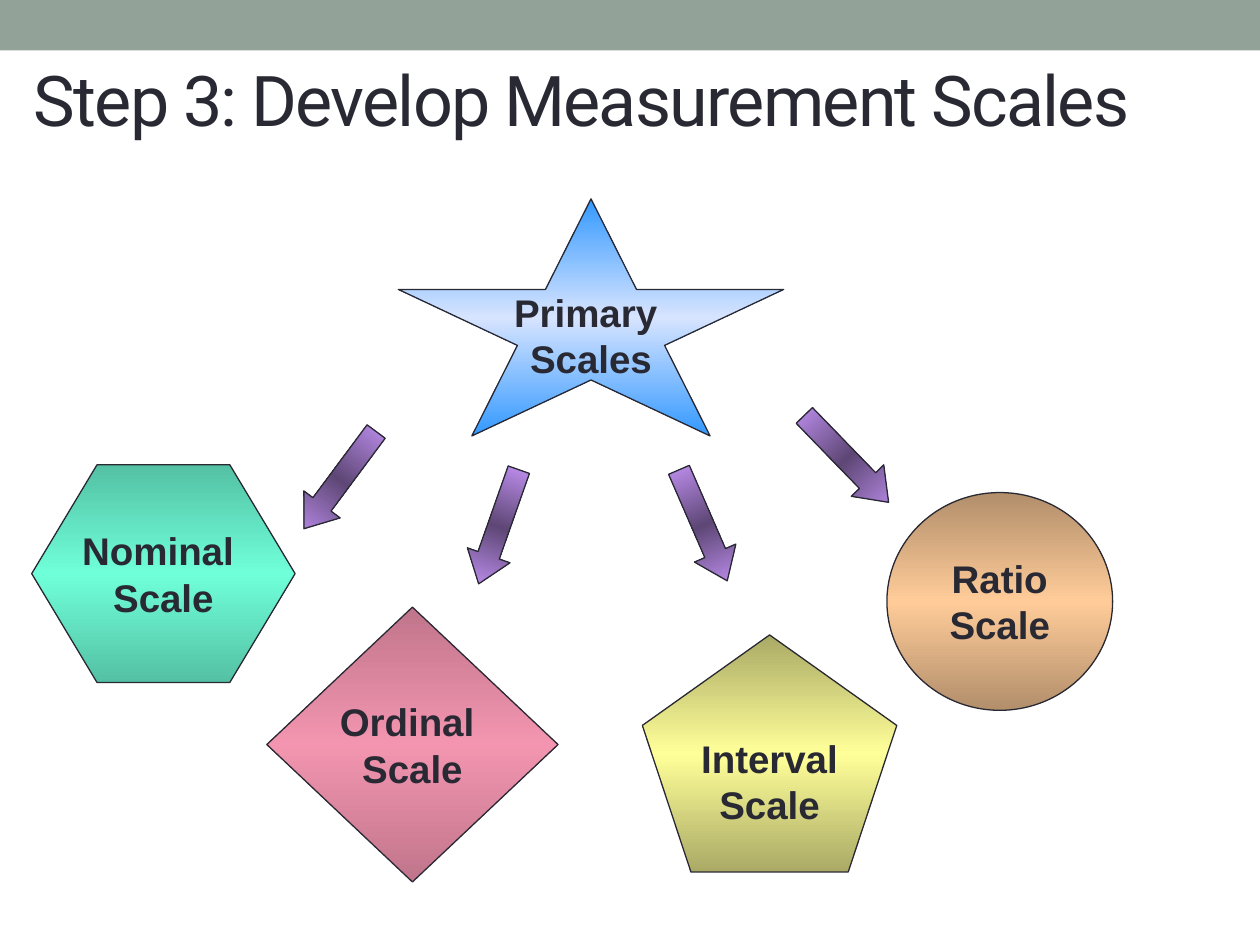
import copy

import pptx
import pptx.dml.color
import pptx.enum.shapes
import pptx.enum.text
import pptx.util

Cm = pptx.util.Cm
Pt = pptx.util.Pt
SHAPE = pptx.enum.shapes.MSO_SHAPE
ALIGN = pptx.enum.text.PP_ALIGN
ANCHOR = pptx.enum.text.MSO_ANCHOR

TITLE = "Step 3: Develop Measurement Scales"
INK = "292934"
BAR = "93A299"
ARROW_COLORS = ("CC99FF", "5E4776")
ARROW_SIZE = (0.91, 2.44)

SCALES = [
    (SHAPE.STAR_5_POINT, (8.03, 4.01, 7.77, 4.78), ("3399FF", "D7E4FF"), ("Primary ", "Scales")),
    (SHAPE.HEXAGON, (0.64, 9.37, 5.31, 4.39), ("54C1A4", "6FFFD9"), ("Nominal ", "Scale")),
    (SHAPE.DIAMOND, (5.38, 12.24, 5.87, 5.54), ("C0758B", "F395B0"), ("Ordinal ", "Scale")),
    (SHAPE.OVAL, (17.88, 9.93, 4.55, 4.39), ("B28E6B", "FFCC99"), ("Ratio", "Scale")),
    (SHAPE.REGULAR_PENTAGON, (12.95, 12.8, 5.13, 4.78), ("AAAA66", "FFFF99"), ("Interval", "Scale")),
]
ARROWS = [
    (6.4, 8.46, 36.6),
    (9.6, 9.4, 19.4),
    (13.72, 9.37, -23.5),
    (16.61, 8.03, -44.1),
]


def color(hex_code):
    return pptx.dml.color.RGBColor.from_string(hex_code)


def fill_gradient(shape, edge, middle):
    shape.fill.gradient()
    shape.fill.gradient_angle = 270
    stop_list = shape.fill._fill._gradFill.gsLst
    stop_list.insert(1, copy.deepcopy(stop_list[0]))
    for index, hex_code in enumerate((edge, middle, edge)):
        stop = shape.fill.gradient_stops[index]
        stop.position = index / 2
        stop.color.rgb = color(hex_code)


def add_gradient_shape(slide, kind, box, colors):
    shape = slide.shapes.add_shape(kind, *map(Cm, box))
    shape.shadow.inherit = False
    fill_gradient(shape, *colors)
    shape.line.color.rgb = color(INK)
    shape.line.width = Pt(0.75)
    return shape


def style_font(paragraph, name, size, bold):
    font = paragraph.font
    font.name, font.size, font.bold = name, Pt(size), bold
    font.color.rgb = color(INK)


def add_bar(slide):
    bar = slide.shapes.add_shape(SHAPE.RECTANGLE, 0, 0, Cm(25.4), Cm(1.02))
    bar.shadow.inherit = False
    bar.fill.solid()
    bar.fill.fore_color.rgb = color(BAR)
    bar.line.fill.background()


def write_title(slide):
    title = slide.shapes.title
    title.left, title.top, title.width, title.height = map(Cm, (0.43, 0.84, 22.86, 2.11))
    frame = title.text_frame
    frame.text = TITLE
    frame.auto_size = pptx.enum.text.MSO_AUTO_SIZE.NONE
    frame.vertical_anchor = ANCHOR.BOTTOM
    paragraph = frame.paragraphs[0]
    paragraph.alignment = ALIGN.LEFT
    style_font(paragraph, "Roboto", 40, False)
    paragraph.runs[0].font._element.set("spc", "-100")


def add_scale(slide, kind, box, colors, lines):
    shape = add_gradient_shape(slide, kind, box, colors)
    if kind == SHAPE.HEXAGON:
        shape.adjustments[0] = 0.3
    frame = shape.text_frame
    frame.text = "\n".join(lines)
    frame.word_wrap = False
    frame.vertical_anchor = ANCHOR.MIDDLE
    for paragraph in frame.paragraphs:
        paragraph.alignment = ALIGN.CENTER
        style_font(paragraph, "Arial", 22, True)


def add_arrow(slide, left, top, rotation):
    arrow = add_gradient_shape(slide, SHAPE.DOWN_ARROW, (left, top, *ARROW_SIZE), ARROW_COLORS)
    arrow.adjustments[1] = 0.67
    arrow.rotation = rotation


def main():
    presentation = pptx.Presentation()
    presentation.slide_width, presentation.slide_height = Cm(25.4), Cm(19.05)
    slide = presentation.slides.add_slide(presentation.slide_layouts[5])
    add_bar(slide)
    write_title(slide)
    for scale in SCALES:
        add_scale(slide, *scale)
    for arrow in ARROWS:
        add_arrow(slide, *arrow)
    presentation.save("out.pptx")


if __name__ == "__main__":
    main()
